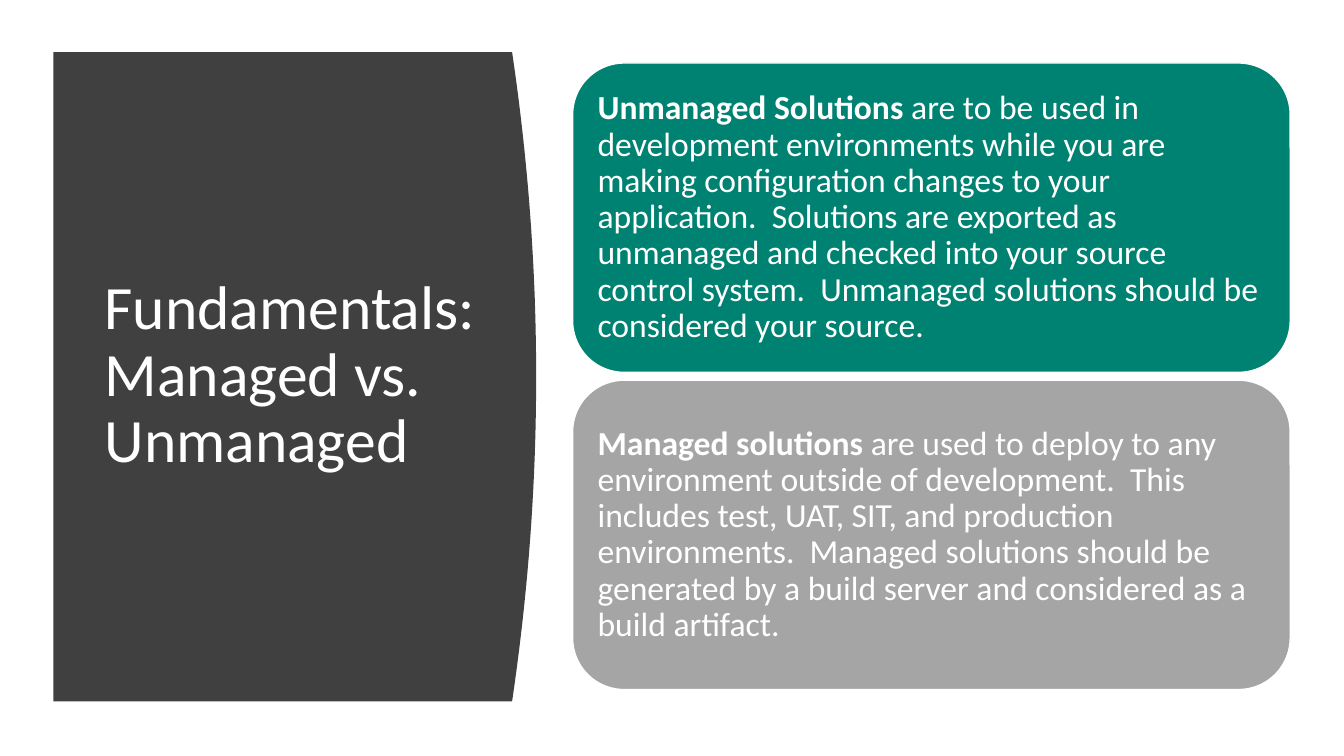
"""Build the slide comparing managed and unmanaged solutions."""
from pptx import Presentation
from pptx.dml.color import RGBColor
from pptx.enum.shapes import MSO_SHAPE
from pptx.enum.text import MSO_ANCHOR, PP_ALIGN
from pptx.util import Pt

WHITE = RGBColor(0xFF, 0xFF, 0xFF)
CHARCOAL = RGBColor(0x40, 0x40, 0x40)
TEAL = RGBColor(0x00, 0x82, 0x72)
GRAY = RGBColor(0xA5, 0xA5, 0xA5)


def write_text(shape, size, runs):
    frame = shape.text_frame
    frame.word_wrap = True
    frame.vertical_anchor = MSO_ANCHOR.MIDDLE
    paragraph = frame.paragraphs[0]
    paragraph.alignment = PP_ALIGN.LEFT
    paragraph.line_spacing = 0.9
    for words, bold in runs:
        run = paragraph.add_run()
        run.text = words
        font_values = {"name": "Calibri", "size": Pt(size), "bold": bold}
        for attribute, value in font_values.items():
            setattr(run.font, attribute, value)
        run.font.color.rgb = WHITE


presentation = Presentation()
presentation.slide_width = Pt(960)
presentation.slide_height = Pt(540)
slide = presentation.slides.add_slide(presentation.slide_layouts[6])

panel_left, panel_top, panel_bottom = 38.2, 37.2, 501
corner_x, bulge, curve_steps = 365.8, 17.2, 40
curve = []
for step in range(curve_steps + 1):
    share = step / curve_steps
    x = corner_x + bulge * (1 - (2 * share - 1) ** 2)
    y = panel_top + share * (panel_bottom - panel_top)
    curve.append((Pt(x), Pt(y)))
outline = slide.shapes.build_freeform(Pt(panel_left), Pt(panel_top), scale=1.0)
outline.add_line_segments(curve + [(Pt(panel_left), Pt(panel_bottom))], close=True)
panel = outline.convert_to_shape()
panel.shadow.inherit = False
panel.fill.solid()
panel.fill.fore_color.rgb = CHARCOAL
panel.line.fill.background()

title = slide.shapes.add_textbox(Pt(67.7), Pt(80), Pt(280), Pt(377.3))
write_text(title, 44, [("Fundamentals: Managed vs. Unmanaged", False)])

solutions = [
    (TEAL, "Unmanaged Solutions ",
     "are to be used in development environments while you are making "
     "configuration changes to your application.  Solutions are exported as "
     "unmanaged and checked into your source control system.  Unmanaged "
     "solutions should be considered your source."),
    (GRAY, "Managed solutions ",
     "are used to deploy to any environment outside of development.  This "
     "includes test, UAT, SIT, and production environments.  Managed solutions "
     "should be generated by a build server and considered as a build artifact."),
]
card_top, card_pitch = 45, 226.6
for index, (color, term, explanation) in enumerate(solutions):
    card = slide.shapes.add_shape(
        MSO_SHAPE.ROUNDED_RECTANGLE,
        Pt(409), Pt(card_top + index * card_pitch), Pt(512.6), Pt(221))
    card.shadow.inherit = False
    card.fill.solid()
    card.fill.fore_color.rgb = color
    card.line.color.rgb = WHITE
    card.line.width = Pt(1)
    for side in ("left", "top", "right", "bottom"):
        setattr(card.text_frame, f"margin_{side}", Pt(7.2))
    write_text(card, 24, [(term, True), (explanation, False)])

presentation.save("out.pptx")
